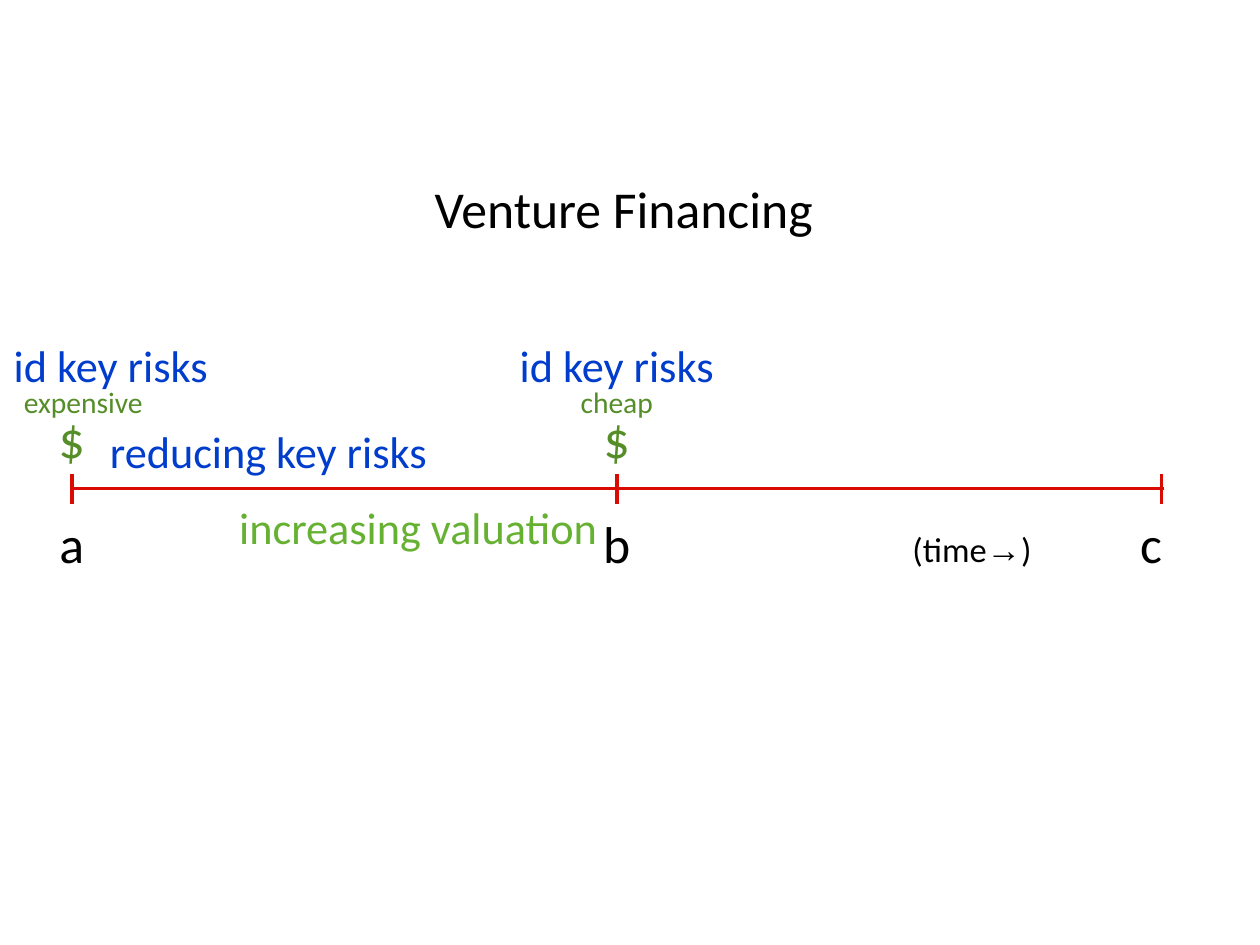
"""Build the venture financing timeline slide."""
from dataclasses import dataclass

from lxml.etree import SubElement
from pptx import Presentation
from pptx.dml.color import RGBColor
from pptx.enum.shapes import MSO_CONNECTOR
from pptx.enum.text import MSO_ANCHOR, PP_ALIGN
from pptx.oxml.ns import qn
from pptx.slide import Slide
from pptx.util import Inches, Pt

BLACK, RED, BLUE = "000000", "D90B00", "003DCC"
DARK_GREEN, LIGHT_GREEN = "558E28", "66B132"
START, STAGE_LENGTH = 0.81, 6.15
STAGE_A, STAGE_B, STAGE_C = (START + STAGE_LENGTH * i for i in range(3))
AXIS_Y, TICK_TOP, TICK_BOTTOM = 5.51, 5.35, 5.69
RISK_TOP, COST_TOP, MONEY_TOP, LETTER_TOP = 3.82, 4.33, 4.59, 5.77
ARROW = "→"


@dataclass(frozen=True)
class Label:
    wording: tuple[str, ...]
    center: float
    top: float
    width: float
    height: float
    size: int
    color: str


@dataclass(frozen=True)
class Stroke:
    x1: float
    y1: float
    x2: float
    y2: float


STROKES = [Stroke(13.14, AXIS_Y, 0.8, AXIS_Y)] + [
    Stroke(x, TICK_TOP, x, TICK_BOTTOM) for x in (STAGE_A, STAGE_B, STAGE_C)
]

LABELS = [
    Label(("Venture Financing",), 7.04, 2, 5.14, 0.7, 42, BLACK),
    Label(("id key risks",), 1.25, RISK_TOP, 2.58, 0.6, 36, BLUE),
    Label(("id key risks",), STAGE_B, RISK_TOP, 2.58, 0.6, 36, BLUE),
    Label(("expensive",), 0.94, COST_TOP, 1.57, 0.4, 24, DARK_GREEN),
    Label(("cheap",), STAGE_B, COST_TOP, 0.95, 0.4, 24, DARK_GREEN),
    Label(("$",), STAGE_A, MONEY_TOP, 0.33, 0.7, 42, DARK_GREEN),
    Label(("$",), STAGE_B, MONEY_TOP, 0.33, 0.7, 42, DARK_GREEN),
    Label(("reducing key risks",), 3.03, 4.79, 4.24, 0.6, 36, BLUE),
    Label(("increasing valuation",), 4.72, 5.6, 4.31, 0.68, 36, LIGHT_GREEN),
    Label(("a",), STAGE_A, LETTER_TOP, 0.33, 0.7, 42, BLACK),
    Label(("b",), STAGE_B, LETTER_TOP, 0.36, 0.7, 42, BLACK),
    Label(("(time", ARROW, ")"), 10.97, 5.84, 1.4, 0.7, 28, BLACK),
    Label(("c",), 12.99, LETTER_TOP, 0.3, 0.7, 42, BLACK),
]


def rgb(value: str) -> RGBColor:
    return RGBColor.from_string(value)


def draw_stroke(slide: Slide, stroke: Stroke) -> None:
    ends = (Inches(v) for v in (stroke.x1, stroke.y1, stroke.x2, stroke.y2))
    line = slide.shapes.add_connector(MSO_CONNECTOR.STRAIGHT, *ends)
    line.line.color.rgb = rgb(RED)
    line.line.width = Pt(3)
    SubElement(line._element.spPr, qn("a:effectLst"))


def draw_label(slide: Slide, label: Label) -> None:
    box = slide.shapes.add_textbox(
        Inches(label.center - label.width / 2), Inches(label.top),
        Inches(label.width), Inches(label.height),
    )
    frame = box.text_frame
    frame.margin_left = frame.margin_right = 0
    frame.margin_top = frame.margin_bottom = 0
    frame.vertical_anchor = MSO_ANCHOR.MIDDLE
    frame.word_wrap = False
    paragraph = frame.paragraphs[0]
    paragraph.alignment = PP_ALIGN.CENTER
    for piece in label.wording:
        run = paragraph.add_run()
        run.text = piece
        run.font.name = "Arial" if piece == ARROW else "Calibri"
        run.font.size = Pt(label.size)
        run.font.color.rgb = rgb(label.color)


def main() -> None:
    deck = Presentation()
    deck.slide_width, deck.slide_height = Inches(14.22), Inches(10.66)
    slide = deck.slides.add_slide(deck.slide_layouts[6])
    for stroke in STROKES:
        draw_stroke(slide, stroke)
    for label in LABELS:
        draw_label(slide, label)
    deck.save("out.pptx")


if __name__ == "__main__":
    main()
